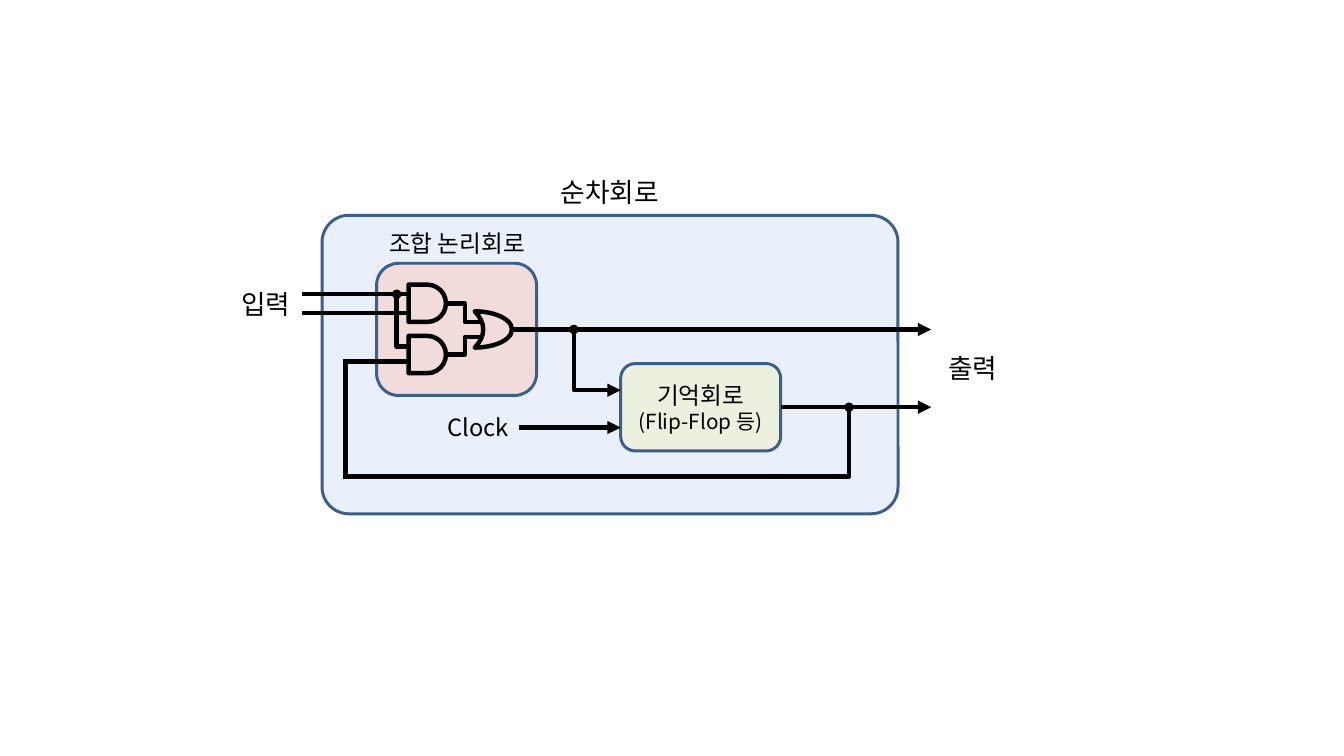
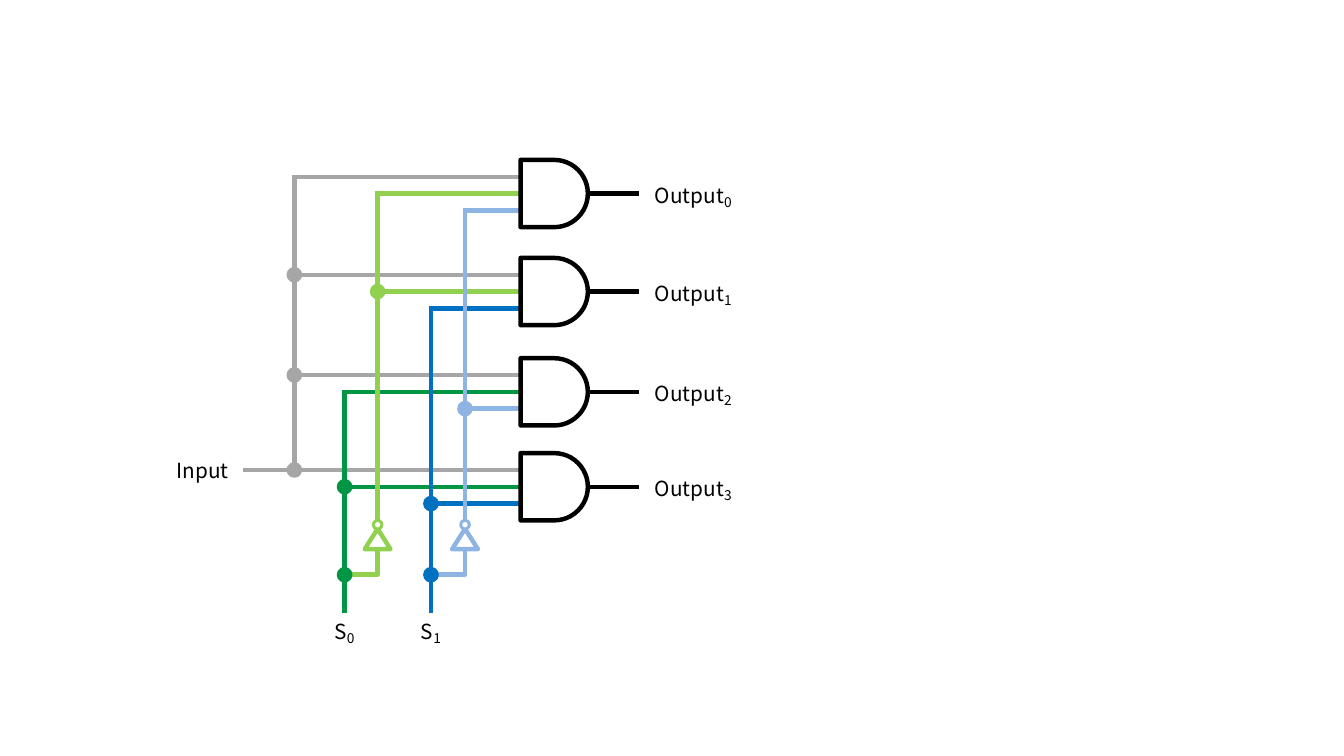
"""Builds two slides of logic diagrams: a sequential circuit and a 1-to-4 demultiplexer."""
import dataclasses

import lxml.etree
import pptx
import pptx.dml.color
import pptx.enum.shapes
import pptx.enum.text
import pptx.oxml.ns
import pptx.util

Pt = pptx.util.Pt
qn = pptx.oxml.ns.qn
PRESET = pptx.enum.shapes.MSO_SHAPE
ANCHOR = pptx.enum.text.MSO_ANCHOR


@dataclasses.dataclass(frozen=True)
class Theme:
    font: str = "Noto Sans CJK KR"
    ink: str = "000000"
    paper: str = "FFFFFF"
    frame: str = "3A5F8C"
    circuit: str = "EAF0FA"
    logic: str = "F2DCDB"
    memory: str = "EBF1DE"
    data: str = "A6A6A6"
    s0: str = "009644"
    not_s0: str = "92D050"
    s1: str = "0070C0"
    not_s1: str = "8EB4E3"
    heading: int = 18
    label: int = 16
    small: int = 14
    subscript: int = 16
    wire: int = 3
    outline: int = 2


theme = Theme()


def add_part(slide, preset, box, fill=None, line=None, weight=theme.outline,
             lines=(), subscript="", anchor=ANCHOR.MIDDLE):
    """Add a preset shape, or a text box when preset is None; lines holds (text, size) pairs."""
    box = [Pt(length) for length in box]
    if preset is None:
        part = slide.shapes.add_textbox(*box)
        part.text_frame.auto_size = pptx.enum.text.MSO_AUTO_SIZE.SHAPE_TO_FIT_TEXT
    else:
        part = slide.shapes.add_shape(preset, *box)
        part.shadow.inherit = False
        part.line.color.rgb = pptx.dml.color.RGBColor.from_string(line)
        part.line.width = Pt(weight)
        if fill:
            part.fill.solid()
            part.fill.fore_color.rgb = pptx.dml.color.RGBColor.from_string(fill)
        else:
            part.fill.background()
    frame = part.text_frame
    frame.word_wrap = True
    frame.vertical_anchor = anchor
    frame.text = "\n".join(text for text, size in lines)
    for paragraph, (text, size) in zip(frame.paragraphs, lines):
        paragraph.alignment = pptx.enum.text.PP_ALIGN.CENTER
        if subscript:
            paragraph.add_run().text = subscript
        for index, run in enumerate(paragraph.runs):
            run.font.size = Pt(theme.subscript if index else size)
            run.font.name = theme.font
            run.font.color.rgb = pptx.dml.color.RGBColor.from_string(theme.ink)
            properties = run.font._element
            lxml.etree.SubElement(properties, qn("a:ea"), typeface=theme.font)
            if index:
                properties.set("baseline", "-16000")
    return part


def add_wire(slide, start, end, color=theme.ink, bend=None, arrow=False):
    """Add a straight wire, or an elbow that turns at the share bend of its width."""
    kinds = pptx.enum.shapes.MSO_CONNECTOR
    kind = kinds.STRAIGHT if bend is None else kinds.ELBOW
    wire = slide.shapes.add_connector(kind, *[Pt(length) for length in (*start, *end)])
    wire.line.color.rgb = pptx.dml.color.RGBColor.from_string(color)
    wire.line.width = Pt(theme.wire)
    properties = wire.element.spPr
    if bend is not None:
        adjustments = properties.find(qn("a:prstGeom")).find(qn("a:avLst"))
        lxml.etree.SubElement(adjustments, qn("a:gd"), name="adj1", fmla=f"val {round(bend * 100000)}")
    if arrow:
        lxml.etree.SubElement(properties.find(qn("a:ln")), qn("a:tailEnd"), type="triangle")
    lxml.etree.SubElement(properties, qn("a:effectLst"))
    return wire


deck = pptx.Presentation()
deck.slide_width, deck.slide_height = Pt(907.2), Pt(510.5)
blank = deck.slide_layouts[6]

sequential = deck.slides.add_slide(blank)
circuit = add_part(sequential, PRESET.ROUNDED_RECTANGLE, (217.4, 145.4, 388.8, 201.6),
                   theme.circuit, theme.frame)
circuit.adjustments[0] = 0.09
add_part(sequential, PRESET.ROUNDED_RECTANGLE, (254.2, 177.8, 108, 89.3), theme.logic, theme.frame)
memory = add_part(sequential, PRESET.ROUNDED_RECTANGLE, (419, 245.5, 108, 59), theme.memory, theme.frame,
                  lines=[("기억회로", theme.label), ("(Flip-Flop 등)", theme.small)])

for text, size, box in [
    ("순차회로", theme.heading, (349.2, 115.2, 124.6, 28.8)),
    ("조합 논리회로", theme.label, (246.2, 151.2, 124.6, 26.6)),
    ("Clock", theme.label, (293.8, 275, 58.3, 26.6)),
    ("출력", theme.heading, (626.4, 234, 60.5, 28.8)),
    ("입력", theme.heading, (151.9, 190.8, 54.7, 28.8)),
]:
    add_part(sequential, None, box, lines=[(text, size)], anchor=ANCHOR.TOP)

gate_left, gate_size = 275.8, 25.2
input_y, result_y, memory_y = 198.7, 222.5, 275
split_x, result_x, loop_x, state_x = 267.8, 387.4, 233.3, 573.1
output_x = 628.6
loop_top, loop_bottom = 244.1, 321.8

for gate_top, or_input in [(192.2, 217.4), (226.8, 227.5)]:
    add_part(sequential, PRESET.FLOWCHART_DELAY, (gate_left, gate_top, gate_size, gate_size),
             line=theme.ink, weight=theme.wire)
    add_wire(sequential, (gate_left + gate_size, gate_top + gate_size / 2), (324.7, or_input), bend=0.54)
or_gate = add_part(sequential, PRESET.MOON, (320.4, 210.2, 25.2, 24.5), line=theme.ink, weight=theme.wire)
or_gate.rotation = 180
or_gate.adjustments[0] = 0.77

for start, end, bend, arrow in [
    ((203.8, input_y), (gate_left, input_y), None, False),
    ((203.8, 211.3), (gate_left, 211.3), None, False),
    ((split_x, input_y), (gate_left, 234), 0, False),
    ((loop_x - theme.wire / 2, loop_top), (gate_left, loop_top), None, False),
    ((loop_x, loop_top), (loop_x, loop_bottom), None, False),
    ((loop_x - theme.wire / 2, loop_bottom), (state_x, memory_y), 1, False),
    ((345.6, result_y), (output_x, result_y), None, True),
    ((result_x, result_y), (419, 263.5), 0, True),
    ((350.6, 288.7), (419, 288.7), None, True),
]:
    add_wire(sequential, start, end, bend=bend, arrow=arrow)
state = add_wire(sequential, (527, memory_y), (output_x, memory_y), arrow=True)
state.begin_connect(memory, 3)

for x, y in [(split_x, input_y), (result_x, result_y), (state_x, memory_y)]:
    add_part(sequential, PRESET.OVAL, (x - 2.15, y - 2.15, 4.3, 4.3), theme.ink, theme.ink)

demultiplexer = deck.slides.add_slide(blank)
and_left, and_size = 351.4, 45.4
select_y, stub_top, label_top, label_height = 388.1, 372.2, 414, 24.5
inverter_top, bubble_top = 357.1, 351.4
rails = {
    "Input": (198.7, theme.data, 317.4),
    "S0": (232.6, theme.s0, label_top),
    "not S0": (254.9, theme.not_s0, bubble_top),
    "S1": (290.9, theme.s1, label_top),
    "not S1": (313.9, theme.not_s1, bubble_top),
}
rows = [
    (108, ("Input", "not S0", "not S1")),
    (174.2, ("Input", "not S0", "S1")),
    (241.9, ("Input", "S0", "not S1")),
    (306, ("Input", "S0", "S1")),
]
taps = {rail: [] for rail in rails}

for number, (and_top, inputs) in enumerate(rows):
    middle = and_top + and_size / 2
    input_wires = []
    for position, rail in enumerate(inputs, 1):
        x, color, bottom = rails[rail]
        y = and_top + and_size * position / 4
        taps[rail].append(y)
        input_wires.append(add_wire(demultiplexer, (x, y), (and_left, y), color))
    output = add_wire(demultiplexer, (and_left + and_size, middle), (431.3, middle))
    and_gate = add_part(demultiplexer, PRESET.FLOWCHART_DELAY, (and_left, and_top, and_size, and_size),
                        line=theme.ink, weight=theme.wire)
    input_wires[1].end_connect(and_gate, 1)
    output.begin_connect(and_gate, 3)
    add_part(demultiplexer, None, (431.3, middle - 11.2, 73.4, label_height),
             lines=[("Output", theme.small)], subscript=str(number))

source_y = taps["Input"][-1]
add_wire(demultiplexer, (164.2, source_y), (rails["Input"][0], source_y), theme.data)
add_part(demultiplexer, None, (109.4, source_y - label_height / 2, 54.7, label_height),
         lines=[("Input", theme.small)])

for rail, (x, color, bottom) in rails.items():
    add_wire(demultiplexer, (x, taps[rail][0] - theme.wire / 2), (x, bottom), color)

for number in range(2):
    select_x = rails[f"S{number}"][0]
    x, color, bottom = rails[f"not S{number}"]
    add_wire(demultiplexer, (select_x, select_y), (x, stub_top), color, bend=1)
    add_part(demultiplexer, PRESET.FLOWCHART_EXTRACT, (x - 8.7, inverter_top, 17.4, 13.7),
             line=color, weight=theme.wire)
    add_part(demultiplexer, PRESET.OVAL, (x - 2.9, bubble_top, 5.8, 5.8), theme.paper, color)
    taps[f"S{number}"].append(select_y)
    add_part(demultiplexer, None, (select_x - 15.5, label_top, 31, label_height),
             lines=[("S", theme.small)], subscript=str(number))

for rail, (x, color, bottom) in rails.items():
    for y in taps[rail][1:]:
        add_part(demultiplexer, PRESET.OVAL, (x - 4.3, y - 4.3, 8.6, 8.6), color, color)

deck.save("out.pptx")
